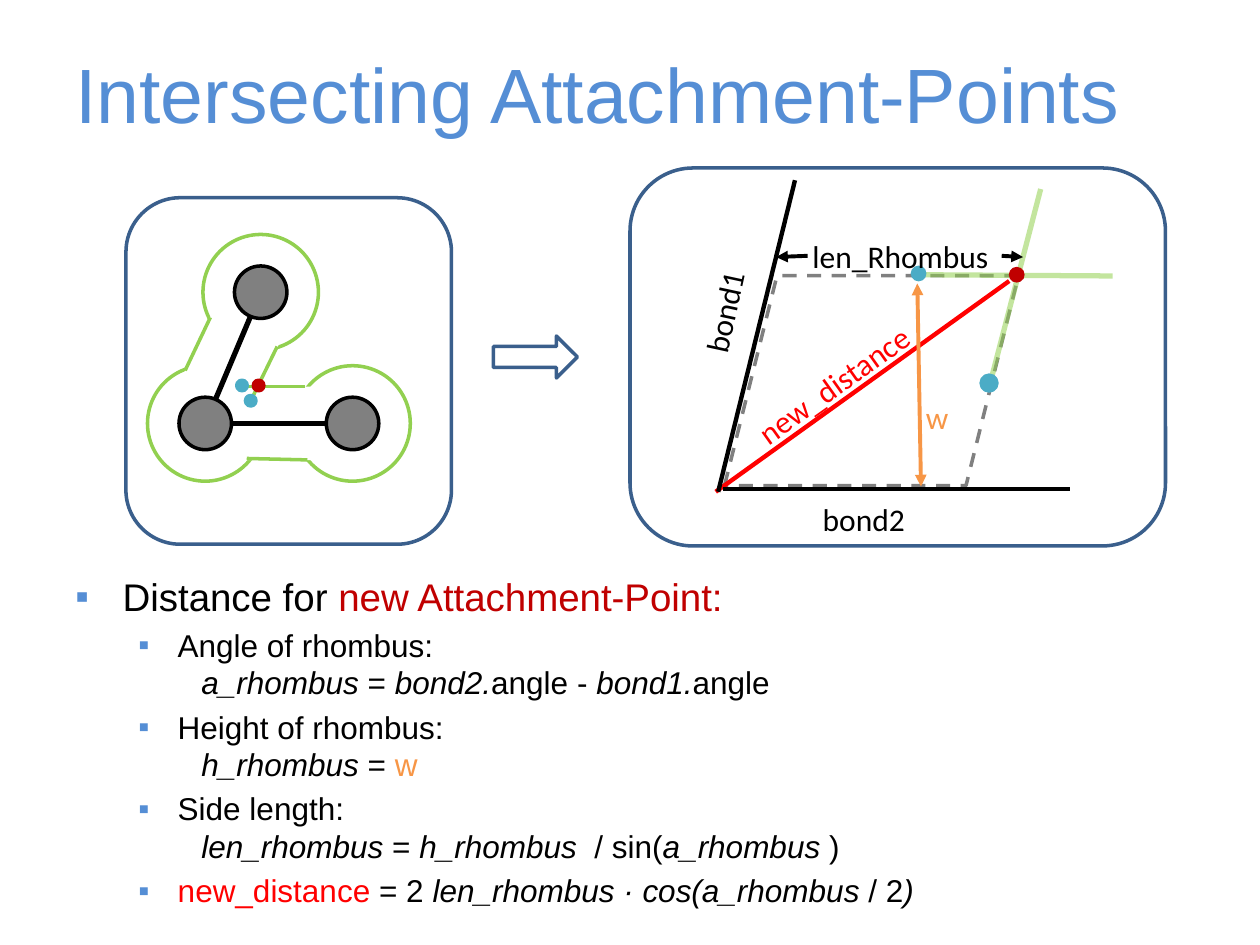
import pptx
import pptx.util
import pptx.dml.color
import pptx.enum.dml
import pptx.enum.shapes
import pptx.enum.text
import pptx.oxml.ns
import lxml.etree
from dataclasses import dataclass

Pt = pptx.util.Pt
SHAPE = pptx.enum.shapes.MSO_SHAPE
qn = pptx.oxml.ns.qn


@dataclass(frozen=True)
class Theme:
    """Colours, fonts and type sizes of the slide."""
    white: str = "FFFFFF"
    black: str = "000000"
    title: str = "558ED5"
    frame: str = "3A5F8C"
    green: str = "92D050"
    grey: str = "808080"
    teal: str = "4BACC6"
    dark_red: str = "C00000"
    red: str = "FF0000"
    orange: str = "F79646"
    font: str = "Arial"
    label_font: str = "Calibri"
    title_size: int = 44
    body_size: int = 22
    small_size: int = 18


T = Theme()


def rgb(colour):
    """Turn a hex string into a colour."""
    return pptx.dml.color.RGBColor.from_string(colour)


def append_xml(parent, tag, **attrs):
    """Append a drawing element and return it."""
    e = lxml.etree.SubElement(parent, qn(tag))
    for name, value in attrs.items():
        e.set(name, str(value))
    return e


def add_shape(s, kind, box, fill=None, line=None, rotation=0, dashed=False):
    """Add a preset shape with optional fill and outline."""
    sp = s.shapes.add_shape(kind, *map(Pt, box))
    sp.shadow.inherit = False
    sp.rotation = rotation
    if fill:
        sp.fill.solid()
        sp.fill.fore_color.rgb = rgb(fill)
    else:
        sp.fill.background()
    if line:
        sp.line.color.rgb = rgb(line)
        sp.line.width = Pt(2)
        if dashed:
            sp.line.dash_style = pptx.enum.dml.MSO_LINE.DASH
    else:
        sp.line.fill.background()
    return sp


def add_circle(s, centre, diameter, fill=None, line=None):
    """Add a circle around a centre."""
    x, y = centre
    r = diameter / 2
    return add_shape(s, SHAPE.OVAL, (x - r, y - r, diameter, diameter), fill, line)


def add_line(s, start, end, colour, width, heads=(), alpha=None):
    """Add a straight line with optional arrowheads and opacity in percent."""
    c = s.shapes.add_connector(pptx.enum.shapes.MSO_CONNECTOR.STRAIGHT,
                               *map(Pt, (*start, *end)))
    c.line.color.rgb = rgb(colour)
    c.line.width = Pt(width)
    ln = c._element.spPr.find(qn("a:ln"))
    if alpha:
        append_xml(ln.find(".//" + qn("a:srgbClr")), "a:alpha", val=alpha * 1000)
    for head in heads:
        append_xml(ln, head, type="triangle")
    append_xml(c._element.spPr, "a:effectLst")
    return c


def add_run(p, text, size, colour, font=T.font, italic=False):
    """Add one formatted run."""
    r = p.add_run()
    r.text = text
    r.font.size = Pt(size)
    r.font.name = font
    r.font.italic = italic
    r.font.color.rgb = rgb(colour)


def add_text_box(s, box, wrap=True):
    """Add an empty text box and return its frame and shape."""
    sp = s.shapes.add_textbox(*map(Pt, box))
    sp.text_frame.word_wrap = wrap
    return sp.text_frame, sp


def add_label(s, text, box, colour=T.black, rotation=0, wrap=False):
    """Add a diagram label."""
    tf, sp = add_text_box(s, box, wrap)
    tf.auto_size = pptx.enum.text.MSO_AUTO_SIZE.SHAPE_TO_FIT_TEXT
    sp.rotation = rotation
    add_run(tf.paragraphs[0], text, T.small_size, colour, T.label_font)


def add_bullet(p, level, runs):
    """Fill a bulleted paragraph; None in runs starts an indented new line."""
    size, margin, hang = ((T.body_size, 27, 27), (T.small_size, 58.5, 22.5))[level]
    p.level = level
    p.space_before = Pt(size * 0.2)
    ppr = p._p.get_or_add_pPr()
    ppr.set("marL", str(Pt(margin)))
    ppr.set("indent", str(-Pt(hang)))
    append_xml(append_xml(ppr, "a:buClr"), "a:srgbClr", val=T.title)
    append_xml(ppr, "a:buFont", typeface=T.font)
    append_xml(ppr, "a:buChar", char="▪")
    for run in runs:
        if run is None:
            p.add_line_break()
            add_run(p, "\t", size, T.black)
        else:
            text, colour, italic = run
            add_run(p, text, size, colour, italic=italic)


def up(text, colour=T.black):
    """Describe an upright run."""
    return text, colour, False


def it(text):
    """Describe an italic run."""
    return text, T.black, True


def add_molecule(s):
    """Draw the three atoms, their outline and the attachment points."""
    add_shape(s, SHAPE.ROUNDED_RECTANGLE, (72, 113, 186, 198), T.white, T.frame)
    left, right, top = (117.3, 242), (201.5, 242), (149, 167)
    for atom in (left, right, top):
        add_circle(s, atom, 66, line=T.green)
    for x, y, turn in ((131.8, 221, 0), (105.8, 182.9, 295.2)):
        add_shape(s, SHAPE.RECTANGLE, (x, y, 54, 42), T.white, rotation=turn)
    for end in (right, top):
        add_line(s, left, end, T.black, 3)
    for start, end in (((141, 262), (175.7, 262.8)), ((105.8, 211.7), (120.2, 181.4)),
                       ((143.3, 229), (158.4, 198)), ((140.4, 221), (174.2, 221))):
        add_line(s, start, end, T.green, 2)
    for atom in (left, right, top):
        add_circle(s, atom, 30, T.grey, T.black)
    for centre, colour in (((138.3, 220.3), T.teal), ((143.3, 229), T.teal),
                           ((147.8, 220.3), T.dark_red)):
        add_circle(s, centre, 6, colour, colour)


def add_rhombus(s):
    """Draw the enlarged rhombus with its measures."""
    add_shape(s, SHAPE.ROUNDED_RECTANGLE, (360, 96, 306, 216), T.white, T.frame)
    add_shape(s, SHAPE.PARALLELOGRAM, (414, 157.5, 168, 120), line=T.grey, dashed=True)
    add_line(s, (409, 281), (576.7, 160.6), T.red, 2.5)
    add_line(s, (413.3, 279.4), (611.3, 279.4), T.black, 2.5)
    add_line(s, (410.4, 281), (454.3, 103), T.black, 2.5)
    add_line(s, (524.2, 162), (526.3, 278), T.orange, 2.25, ("a:headEnd", "a:tailEnd"))
    add_label(s, "w", (522, 224, 27, 29), T.orange)
    add_label(s, "new_distance", (418.3, 204.5, 118, 29), T.red, 324.5, wrap=True)
    add_line(s, (635.8, 157.7), (524.9, 157), T.green, 3, alpha=54)
    add_line(s, (594.7, 108), (566, 218.2), T.green, 3, alpha=54)
    add_circle(s, (581, 157), 9, T.dark_red)
    add_line(s, (572.4, 146.2), (584.6, 146.9), T.black, 2.25, ("a:tailEnd",))
    add_line(s, (461.5, 146.2), (443.5, 146.9), T.black, 2.25, ("a:tailEnd",))
    add_label(s, "bond2", (463, 282.2, 62, 29))
    add_label(s, "bond1", (383, 163.4, 62, 29), rotation=282.2)
    add_circle(s, (565.2, 218.9), 9, T.teal, T.teal)
    add_circle(s, (524.9, 156.3), 9, T.teal)
    add_label(s, "len_Rhombus", (457.2, 131.8, 116, 29))


def add_formulas(s):
    """Write the bulleted derivation."""
    tf, _ = add_text_box(s, (36, 324, 648, 198))
    bullets = (
        (0, (up("Distance for "), up("new Attachment-Point:", T.dark_red))),
        (1, (up("Angle of rhombus:"), None, it("a_rhombus"), up(" = "), it("bond2."),
             up("angle - "), it("bond1."), up("angle"))),
        (1, (up("Height of rhombus:"), None, it("h_rhombus"), up(" = "), up("w", T.orange))),
        (1, (up("Side length:"), None, it("len_rhombus "), up("= "), it("h_rhombus"),
             up("  / sin("), it("a_rhombus"), up(" )"))),
        (1, (up("new_distance", T.red), up(" = 2 "), it("len_rhombus · cos(a_rhombus"),
             up(" / 2"), it(")"))),
    )
    for i, (level, runs) in enumerate(bullets):
        add_bullet(tf.add_paragraph() if i else tf.paragraphs[0], level, runs)


def main():
    """Build and save the slide."""
    prs = pptx.Presentation()
    prs.slide_width, prs.slide_height = Pt(720), Pt(540)
    s = prs.slides.add_slide(prs.slide_layouts[6])
    tf, _ = add_text_box(s, (36, 21.6, 648, 62.6))
    tf.vertical_anchor = pptx.enum.text.MSO_ANCHOR.MIDDLE
    add_run(tf.paragraphs[0], "Intersecting Attachment-Points", T.title_size, T.title)
    add_molecule(s)
    add_rhombus(s)
    add_shape(s, SHAPE.RIGHT_ARROW, (282, 192, 48, 24), line=T.frame)
    add_formulas(s)
    prs.save("out.pptx")


main()
